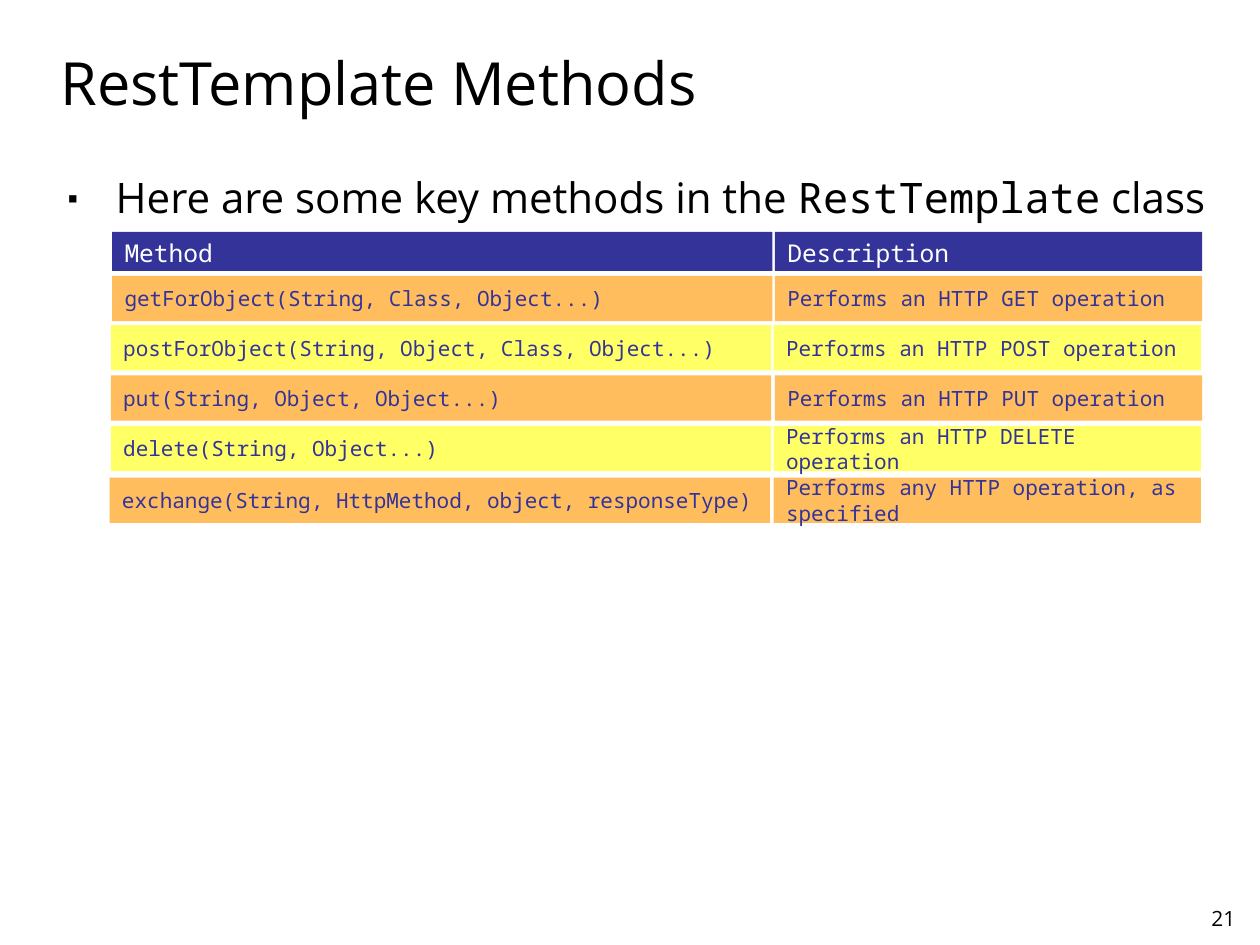
from pptx import Presentation
from pptx.util import Inches, Pt
from pptx.dml.color import RGBColor as Rgb
from pptx.enum.shapes import MSO_SHAPE as Shape
from pptx.enum.text import MSO_ANCHOR as Anchor, PP_ALIGN as Align
from pptx.oxml import parse_xml
from pptx.oxml.ns import nsdecls

INK = {"black": "000000", "white": "FFFFFF", "navy": "333399",
       "orange": "FFBD5D", "yellow": "FFFF66"}
SANS, MONO = "Open Sans", "Noto Sans Mono"

deck = Presentation()
deck.slide_width, deck.slide_height = Inches(10), Inches(7.5)
slide = deck.slides.add_slide(deck.slide_layouts[6])


def write(shape, text, size, face, ink, anchor):
    frame = shape.text_frame
    frame.word_wrap = True
    frame.vertical_anchor = anchor
    para = frame.paragraphs[0]
    para.text = text
    para.alignment = Align.LEFT
    para.font.size, para.font.name = Pt(size), face
    para.font.color.rgb = Rgb.from_string(INK[ink])
    return para


def label(box, text, size, anchor):
    shape = slide.shapes.add_textbox(*map(Inches, box))
    return write(shape, text, size, SANS, "black", anchor)


point = label((0.44, 1.31, 9.28, 5.4), "", 24, Anchor.TOP)
for text, face in (("Here are some key methods in the ", SANS),
                   ("RestTemplate", MONO), (" class", SANS)):
    run = point.add_run()
    run.text, run.font.name = text, face
props = point._p.get_or_add_pPr()
props.set("marL", str(Inches(0.38)))
props.set("indent", str(-Inches(0.38)))
for tag in ('buClr {}><a:srgbClr val="000000"/></a:buClr>',
            'buSzPct {} val="60000"/>', 'buFont {} typeface="Open Sans"/>',
            'buChar {} char="▪"/>'):
    mark = parse_xml("<a:" + tag.format(nsdecls("a")))
    props.insert_element_before(mark, "a:tabLst", "a:defRPr", "a:extLst")

title = slide.shapes.add_textbox(*map(Inches, (0.41, 0.17, 9.35, 0.76)))
write(title, "RestTemplate Methods", 34, SANS, "black", Anchor.BOTTOM)
title.text_frame.margin_left = Inches(0.07)
title.text_frame.margin_bottom = 0

label((9.45, 6.94, 0.52, 0.5), "21", 12, Anchor.BOTTOM).alignment = Align.CENTER

WIDE = 5.24, 3.39
rows = [
    (1.84, (0.89, 6.15), "Method", "Description"),
    (2.19, (0.89, 6.15), "getForObject(String, Class, Object...)",
     "Performs an HTTP GET operation"),
    (2.58, (0.88, 6.14), "postForObject(String, Object, Class, Object...)",
     "Performs an HTTP POST operation"),
    (2.98, (0.88, 6.15), "put(String, Object, Object...)",
     "Performs an HTTP PUT operation"),
    (3.38, (0.88, 6.14), "delete(String, Object...)",
     "Performs an HTTP DELETE operation"),
    (3.79, (0.87, 6.14), "exchange(String, HttpMethod, object, responseType)",
     "Performs any HTTP operation, as specified"),
]
for num, (top, lefts, *texts) in enumerate(rows):
    if num == 0:
        high, fill, style = 0.31, "navy", (14, MONO, "white", Anchor.TOP)
    else:
        high, fill = 0.36, "orange" if num % 2 else "yellow"
        style = 12, MONO, "navy", Anchor.MIDDLE
    for left, width, text in zip(lefts, WIDE, texts):
        cell = slide.shapes.add_shape(
            Shape.RECTANGLE, *map(Inches, (left, top, width, high)))
        cell.shadow.inherit = False
        cell.fill.solid()
        cell.fill.fore_color.rgb = Rgb.from_string(INK[fill])
        cell.line.fill.background()
        write(cell, text, *style)

deck.save("out.pptx")
